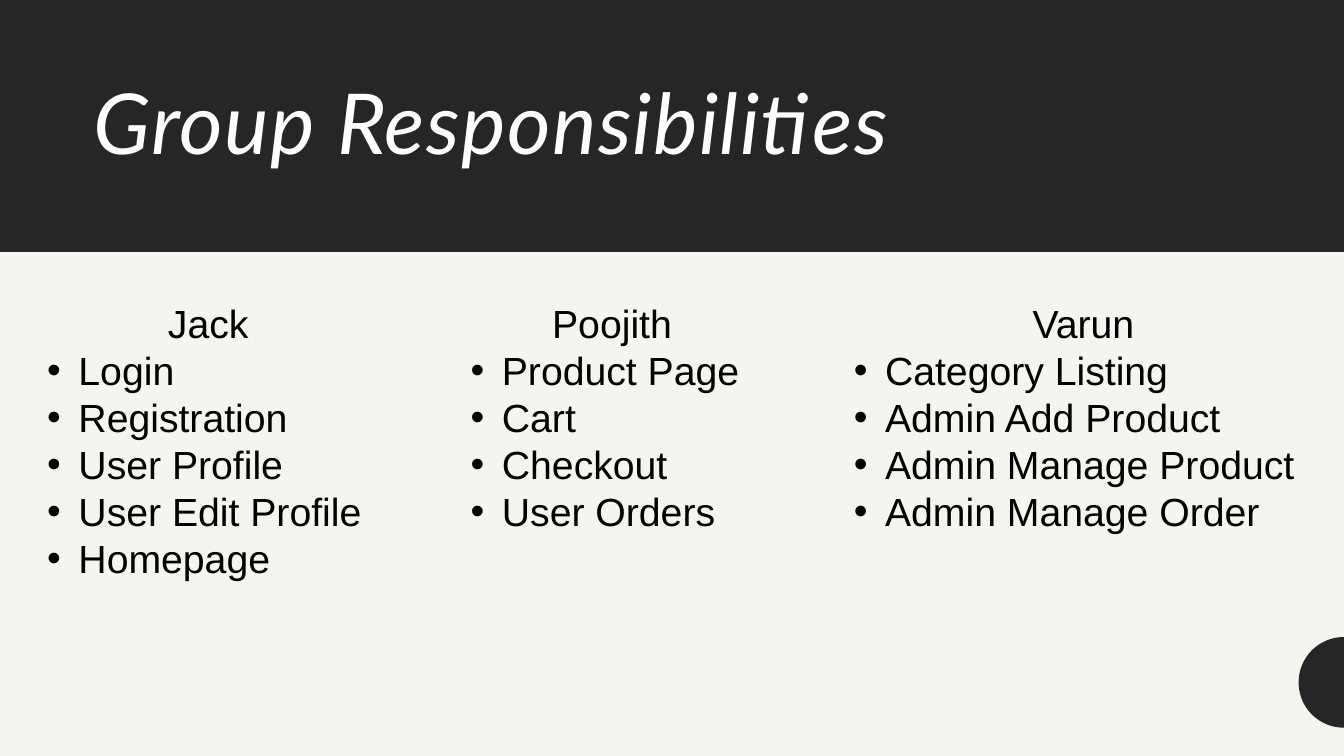
from dataclasses import dataclass
from math import cos, pi, sin

from lxml.etree import SubElement
from pptx import Presentation
from pptx.dml.color import RGBColor
from pptx.enum.shapes import MSO_SHAPE as Preset
from pptx.enum.text import MSO_ANCHOR as Anchor, MSO_AUTO_SIZE as AutoSize, PP_ALIGN as Align
from pptx.oxml.ns import qn
from pptx.shapes.autoshape import Shape
from pptx.slide import Slide
from pptx.text.text import _Paragraph as Paragraph
from pptx.util import Inches, Pt

SLIDE_WIDTH = 13.33
SLIDE_HEIGHT = 7.5


@dataclass(frozen=True)
class Theme:
    paper: RGBColor = RGBColor.from_string("F6F4EF")
    dark: RGBColor = RGBColor.from_string("262626")
    title_color: RGBColor = RGBColor.from_string("FFFFFF")
    body_color: RGBColor = RGBColor.from_string("000000")
    title_font: str = "Lato"
    body_font: str = "Arial"
    title_size: int = 60
    body_size: int = 28


@dataclass(frozen=True)
class Box:
    left: float
    top: float
    width: float
    height: float

    def lengths(self) -> tuple[Inches, ...]:
        return tuple(map(Inches, (self.left, self.top, self.width, self.height)))


@dataclass(frozen=True)
class Member:
    name: str
    box: Box
    tasks: tuple[str, ...]


THEME = Theme()
TITLE_FORMAT = {"name": THEME.title_font, "size": Pt(THEME.title_size), "italic": True}
BODY_FORMAT = {"name": THEME.body_font, "size": Pt(THEME.body_size)}

MEMBERS = (
    Member("Jack", Box(0.37, 2.92, 3.39, 2.93),
           ("Login", "Registration", "User Profile", "User Edit Profile", "Homepage")),
    Member("Poojith", Box(4.57, 2.92, 3, 2.46),
           ("Product Page", "Cart", "Checkout", "User Orders")),
    Member("Varun", Box(8.37, 2.92, 4.75, 2.46),
           ("Category Listing", "Admin Add Product", "Admin Manage Product",
            "Admin Manage Order")),
)


def paint(shape: Shape, color: RGBColor) -> None:
    shape.shadow.inherit = False
    shape.fill.solid()
    shape.fill.fore_color.rgb = color
    shape.line.fill.background()


def add_panel(slide: Slide, box: Box, color: RGBColor) -> None:
    paint(slide.shapes.add_shape(Preset.RECTANGLE, *box.lengths()), color)


def add_half_disc(slide: Slide, center_y: float, radius: float, steps: int = 50) -> None:
    """Draw the left half of a disc centred on the slide's right edge."""
    angles = [pi / 2 + pi * step / steps for step in range(steps + 1)]
    points = [(Inches(SLIDE_WIDTH + radius * cos(angle)),
               Inches(center_y + radius * sin(angle))) for angle in angles]
    builder = slide.shapes.build_freeform(*points[0])
    builder.add_line_segments(points[1:], close=True)
    paint(builder.convert_to_shape(), THEME.dark)


def write(paragraph: Paragraph, text: str, color: RGBColor, font_format: dict) -> None:
    run = paragraph.add_run()
    run.text = text
    for attribute, value in font_format.items():
        setattr(run.font, attribute, value)
    run.font.color.rgb = color


def add_bullet(paragraph: Paragraph, indent: float = 0.31) -> None:
    properties = paragraph._p.get_or_add_pPr()
    properties.set("marL", str(Inches(indent)))
    properties.set("indent", str(-Inches(indent)))
    SubElement(properties, qn("a:buFont"), typeface=THEME.body_font)
    SubElement(properties, qn("a:buChar"), char="•")


def add_title(slide: Slide, box: Box, text: str) -> None:
    frame = slide.shapes.add_textbox(*box.lengths()).text_frame
    frame.word_wrap = True
    frame.vertical_anchor = Anchor.MIDDLE
    paragraph = frame.paragraphs[0]
    paragraph.line_spacing = 0.9
    write(paragraph, text, THEME.title_color, TITLE_FORMAT)
    paragraph.runs[0]._r.get_or_add_rPr().set("spc", "100")


def add_member(slide: Slide, member: Member) -> None:
    frame = slide.shapes.add_textbox(*member.box.lengths()).text_frame
    frame.word_wrap = True
    frame.auto_size = AutoSize.SHAPE_TO_FIT_TEXT
    heading = frame.paragraphs[0]
    heading.alignment = Align.CENTER
    write(heading, member.name, THEME.body_color, BODY_FORMAT)
    for task in member.tasks:
        paragraph = frame.add_paragraph()
        add_bullet(paragraph)
        write(paragraph, task, THEME.body_color, BODY_FORMAT)


def main() -> None:
    presentation = Presentation()
    presentation.slide_width = Inches(SLIDE_WIDTH)
    presentation.slide_height = Inches(SLIDE_HEIGHT)
    slide = presentation.slides.add_slide(presentation.slide_layouts[6])
    slide.background.fill.solid()
    slide.background.fill.fore_color.rgb = THEME.paper

    add_panel(slide, Box(0, 0, SLIDE_WIDTH, SLIDE_HEIGHT), THEME.paper)
    add_panel(slide, Box(0, 0, SLIDE_WIDTH, 2.5), THEME.dark)
    add_title(slide, Box(0.83, 0.41, 11.67, 1.7), "Group Responsibilities")
    add_half_disc(slide, center_y=6.77, radius=0.45)
    for member in MEMBERS:
        add_member(slide, member)

    presentation.save("out.pptx")


if __name__ == "__main__":
    main()
